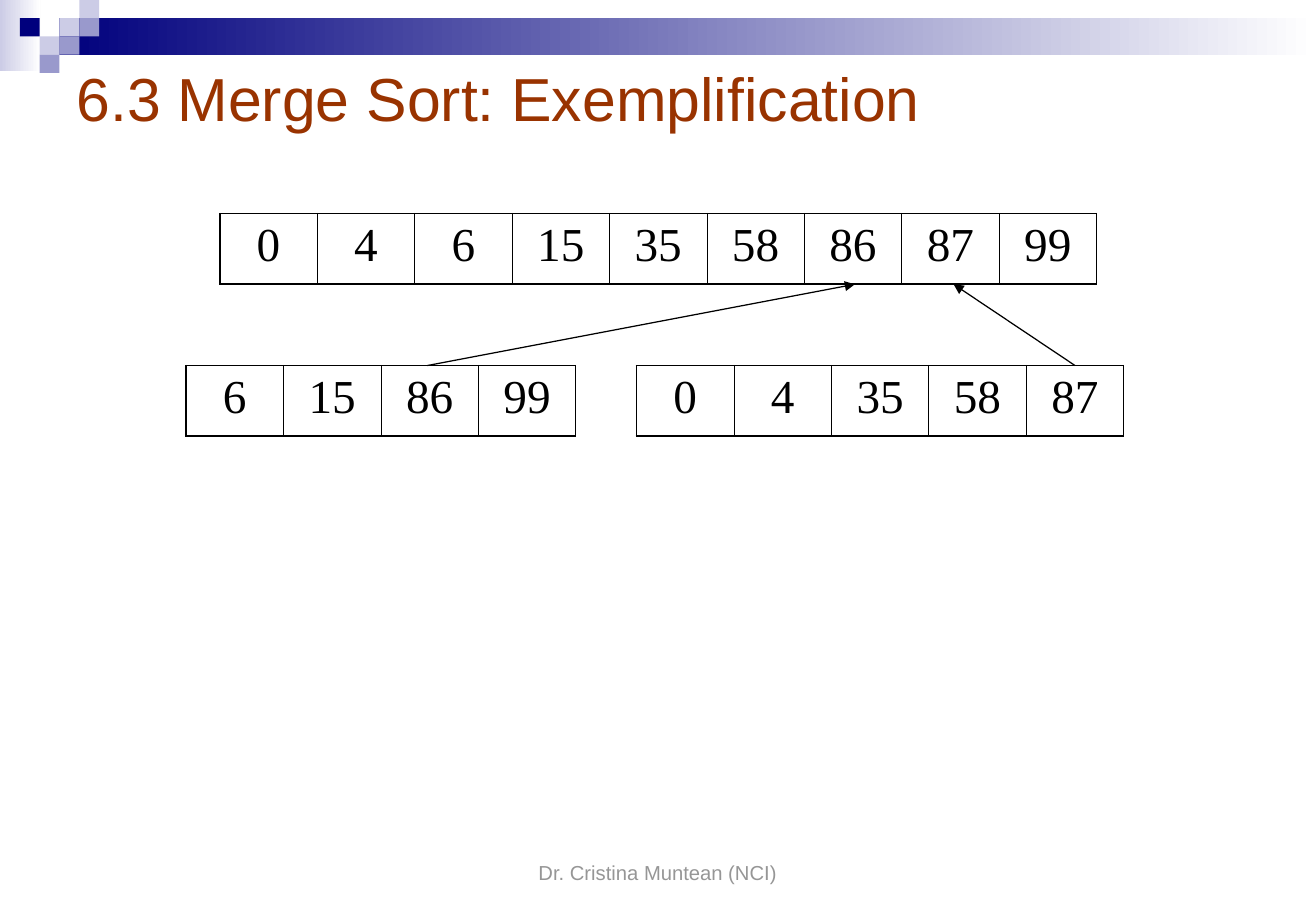
from lxml import etree
from pptx import Presentation
from pptx.dml.color import RGBColor
from pptx.enum.shapes import MSO_CONNECTOR, MSO_SHAPE
from pptx.enum.text import MSO_ANCHOR, PP_ALIGN
from pptx.oxml.ns import qn
from pptx.util import Pt

RECTANGLE = MSO_SHAPE.RECTANGLE
STRAIGHT = MSO_CONNECTOR.STRAIGHT
LEFT, CENTER = PP_ALIGN.LEFT, PP_ALIGN.CENTER
TOP, MIDDLE, BOTTOM = MSO_ANCHOR.TOP, MSO_ANCHOR.MIDDLE, MSO_ANCHOR.BOTTOM

COLORS = {
    "navy": "00007D", "lavender": "CCCCE6", "violet": "9999CC", "white": "FFFFFF",
    "title": "993300", "footer": "969696", "black": "000000",
}
SLIDE_W, SLIDE_H = 780.12, 540
TILE_W, TILE_H = 11.75, 10.8
TILES = [
    (3, 1, "lavender"), (4, 0, "lavender"), (4, 1, "violet"), (2, 2, "lavender"),
    (1, 1, "navy"), (3, 2, "violet"), (2, 3, "violet"),
]
CELL_W, CELL_H = 57.75, 41.9
MERGED = [0, 4, 6, 15, 35, 58, 86, 87, 99]
LEFT_HALF = [6, 15, 86, 99]
RIGHT_HALF = [0, 4, 35, 58, 87]


def rgb(name):
    """Return the named colour."""
    return RGBColor.from_string(COLORS[name])


def write(frame, text, *, font, size, color, align=LEFT):
    """Put one formatted paragraph in a text frame."""
    paragraph = frame.paragraphs[0]
    paragraph.alignment = align
    run = paragraph.add_run()
    run.text = text
    run.font.name = font
    run.font.size = Pt(size)
    run.font.color.rgb = rgb(color)


def add_block(slide, box, *colors):
    """Draw a borderless rectangle, solid or fading between two colours."""
    block = slide.shapes.add_shape(RECTANGLE, *map(Pt, box))
    block.shadow.inherit = False
    block.line.fill.background()
    if len(colors) == 1:
        block.fill.solid()
        block.fill.fore_color.rgb = rgb(colors[0])
    else:
        block.fill.gradient()
        block.fill.gradient_angle = 0
        for stop, color in zip(block.fill.gradient_stops, colors):
            stop.color.rgb = rgb(color)


def add_banner(slide, box):
    """Draw the fading bar and its corner mosaic across the box."""
    x, y, width, height = box
    add_block(slide, (x, y, 24.2, height), "lavender", "white")
    bar_x = x + 3 * TILE_W
    add_block(slide, (bar_x, y + TILE_H, x + width - bar_x, 2 * TILE_H), "navy", "white")
    for column, row, color in TILES:
        tile = (x + column * TILE_W, y + row * TILE_H, TILE_W, TILE_H)
        add_block(slide, tile, color)


def add_label(slide, box, text, anchor, **style):
    """Place a wrapped line of text in the box."""
    frame = slide.shapes.add_textbox(*map(Pt, box)).text_frame
    frame.word_wrap = True
    frame.vertical_anchor = anchor
    write(frame, text, font="Arial", **style)


def add_border(cell, side, width):
    """Give one side of a cell a black line."""
    edge = etree.SubElement(cell._tc.get_or_add_tcPr(), qn(f"a:{side}"), w=str(Pt(width)))
    fill = etree.SubElement(edge, qn("a:solidFill"))
    etree.SubElement(fill, qn("a:srgbClr"), val=COLORS["black"])


def add_array(slide, origin, values):
    """Draw an array as a one-row table with its top left at the origin."""
    x, y = origin
    frame = slide.shapes.add_table(
        1, len(values), Pt(x), Pt(y), Pt(CELL_W * len(values)), Pt(CELL_H))
    table = frame.table
    table.first_row = table.horz_banding = False
    table.rows[0].height = Pt(CELL_H)
    last = len(values) - 1
    for index, value in enumerate(values):
        table.columns[index].width = Pt(CELL_W)
        cell = table.cell(0, index)
        cell.margin_left = cell.margin_right = Pt(7.9)
        cell.margin_top = cell.margin_bottom = Pt(3.6)
        cell.vertical_anchor = TOP
        add_border(cell, "lnL", 1.08 if index == 0 else 0.45)
        add_border(cell, "lnR", 1.08 if index == last else 0.45)
        add_border(cell, "lnT", 1.08)
        add_border(cell, "lnB", 1.08)
        cell.fill.background()
        write(cell.text_frame, str(value), font="Times New Roman", size=28,
              color="black", align=CENTER)


def add_merge_arrow(slide, start, end):
    """Draw an arrow from a value in a half to its merged place."""
    arrow = slide.shapes.add_connector(STRAIGHT, *map(Pt, (*start, *end)))
    arrow.line.color.rgb = rgb("black")
    arrow.line.width = Pt(0.75)
    etree.SubElement(arrow.line._get_or_add_ln(), qn("a:tailEnd"), type="triangle")
    etree.SubElement(arrow._element.spPr, qn("a:effectLst"))


def add_merge_diagram(slide, box):
    """Draw the merged array, its two halves and the arrows between them."""
    x, y, width, height = box
    halves_y = y + height - CELL_H
    merged_bottom = y + CELL_H
    add_array(slide, (x + 20, y), MERGED)
    add_array(slide, (x, halves_y), LEFT_HALF)
    add_array(slide, (x + width - len(RIGHT_HALF) * CELL_W, halves_y), RIGHT_HALF)
    add_merge_arrow(slide, (x + 143, halves_y), (x + 396.5, merged_bottom))
    add_merge_arrow(slide, (x + 527, halves_y), (x + 455, merged_bottom))


def main():
    """Build and save the slide."""
    deck = Presentation()
    deck.slide_width = Pt(SLIDE_W)
    deck.slide_height = Pt(SLIDE_H)
    slide = deck.slides.add_slide(deck.slide_layouts[6])
    add_banner(slide, (0, 0, SLIDE_W, 42))
    add_merge_diagram(slide, (110.3, 126.6, 555.8, 132))
    add_label(slide, (38.2, 26.2, 702, 62.6), "6.3 Merge Sort: Exemplification",
              MIDDLE, size=36, color="title")
    add_label(slide, (266.4, 492, 247, 36), "Dr. Cristina Muntean (NCI)",
              BOTTOM, size=12, color="footer", align=CENTER)
    deck.save("out.pptx")


if __name__ == "__main__":
    main()
